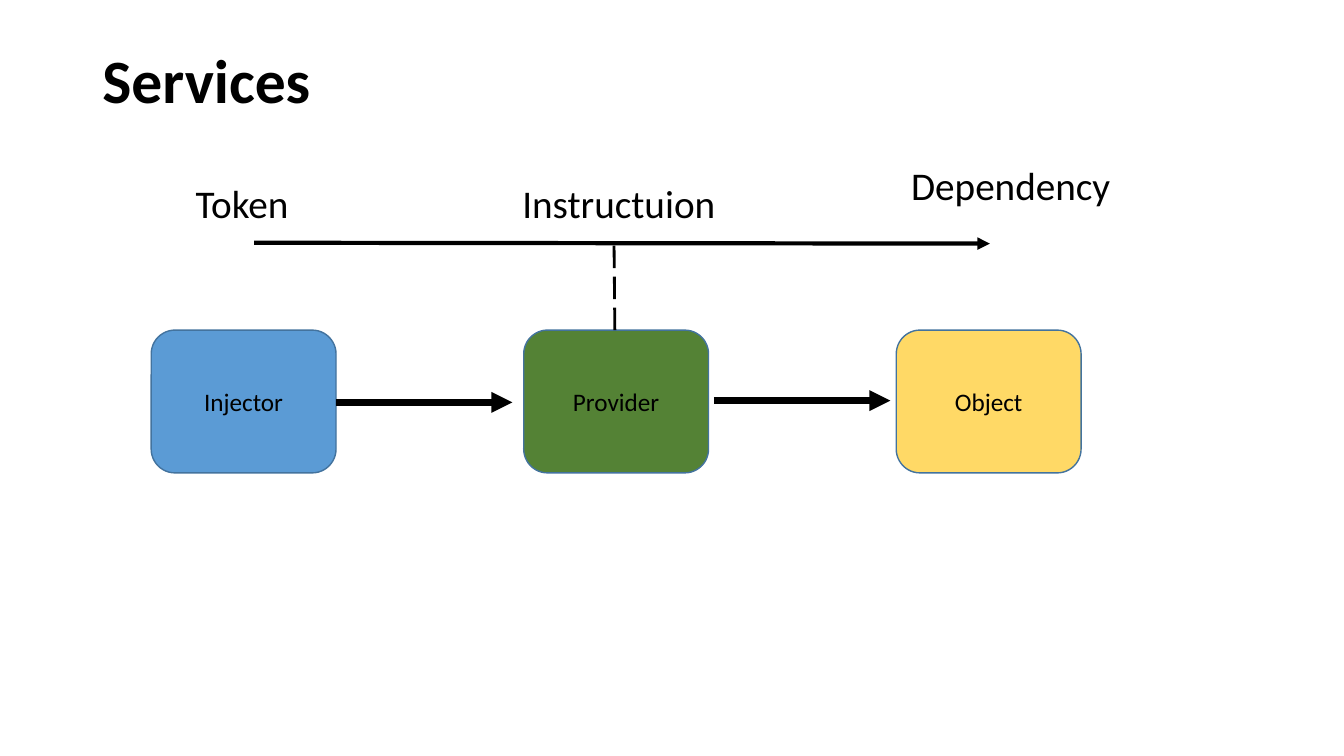
from dataclasses import dataclass

from lxml import etree
from pptx import Presentation
from pptx import util as u
from pptx.dml.color import RGBColor
from pptx.enum import dml, shapes, text
from pptx.oxml.ns import qn


@dataclass(frozen=True)
class Theme:
    """Colours, font and type sizes of the slide."""
    ink: str = "000000"
    edge: str = "43739E"
    injector: str = "5B9BD5"
    provider: str = "548235"
    product: str = "FFD966"
    font: str = "Calibri"
    title: int = 44
    label: int = 28
    body: int = 18


THEME = Theme()
COLS, ROWS = 160, 90
WIDTH, HEIGHT = u.Inches(13.333), u.Inches(7.5)


def grid(x, y):
    """Turn columns and rows into slide lengths."""
    return round(x * WIDTH / COLS), round(y * HEIGHT / ROWS)


def write(sp, words, size, bold=False, align=text.PP_ALIGN.LEFT,
          anchor=text.MSO_ANCHOR.TOP, wrap=True):
    """Put one styled paragraph into a shape."""
    tf = sp.text_frame
    tf.word_wrap = wrap
    tf.vertical_anchor = anchor
    p = tf.paragraphs[0]
    p.text = words
    p.alignment = align
    p.font.name = THEME.font
    p.font.size = u.Pt(size)
    p.font.bold = bold
    p.font.color.rgb = RGBColor.from_string(THEME.ink)
    return p


def line(s, start, end, weight, arrow=True):
    """Draw a solid arrow, or a dashed line without a head."""
    cx = s.shapes.add_connector(shapes.MSO_CONNECTOR.STRAIGHT, *grid(*start), *grid(*end))
    cx.line.color.rgb = RGBColor.from_string(THEME.ink)
    cx.line.width = u.Pt(weight)
    if arrow:
        etree.SubElement(cx.line._get_or_add_ln(), qn("a:tailEnd"), type="triangle")
    else:
        cx.line.dash_style = dml.MSO_LINE.LONG_DASH
    etree.SubElement(cx._element.spPr, qn("a:effectLst"))


def add_title(s, x, y, w, h):
    """Place the heading in its box."""
    sp = s.shapes.add_textbox(*grid(x, y), *grid(w, h))
    p = write(sp, "Services", THEME.title, bold=True, anchor=text.MSO_ANCHOR.MIDDLE)
    p.line_spacing = 0.9


def add_labels(s, x, y, w, h):
    """Place the three terms above the long arrow that runs along the box's foot."""
    terms = (("Token", 4.1, 2.2, 13.6),
             ("Instructuion", 43, 2.2, 25.7),
             ("Dependency", 89.3, 0, 26.4))
    for words, dx, dy, width in terms:
        sp = s.shapes.add_textbox(*grid(x + dx, y + dy), *grid(width, 6.8))
        write(sp, words, THEME.label, wrap=False)
    line(s, (x + 12.25, y + h), (x + w - 12.85, y + h + 0.1), 3)


def add_flow(s, x, y, w, h):
    """Place the three steps evenly across the box and join them."""
    steps = (("Injector", THEME.injector),
             ("Provider", THEME.provider),
             ("Object", THEME.product))
    card = 22
    pitch = (w - card) / (len(steps) - 1)
    for i, (words, fill) in enumerate(steps):
        sp = s.shapes.add_shape(shapes.MSO_SHAPE.ROUNDED_RECTANGLE,
                                *grid(x + i * pitch, y), *grid(card, h))
        sp.shadow.inherit = False
        sp.fill.solid()
        sp.fill.fore_color.rgb = RGBColor.from_string(fill)
        sp.line.color.rgb = RGBColor.from_string(THEME.edge)
        sp.line.width = u.Pt(1)
        write(sp, words, THEME.body, align=text.PP_ALIGN.CENTER,
              anchor=text.MSO_ANCHOR.MIDDLE)
    for dx, dy in ((card, 8.6), (67, 8.4)):
        line(s, (x + dx, y + dy), (x + dx + 21, y + dy), 5)
    line(s, (x + 55.2, y), (x + 55.1, y - 10.4), 2, arrow=False)


def main():
    """Build the slide and save it."""
    prs = Presentation()
    prs.slide_width, prs.slide_height = WIDTH, HEIGHT
    s = prs.slides.add_slide(prs.slide_layouts[6])
    add_title(s, 11, 4.8, 138, 10.4)
    add_flow(s, 18, 39.3, 110.7, 17)
    add_labels(s, 18, 18.6, 112.7, 10.3)
    prs.save("out.pptx")


if __name__ == "__main__":
    main()
